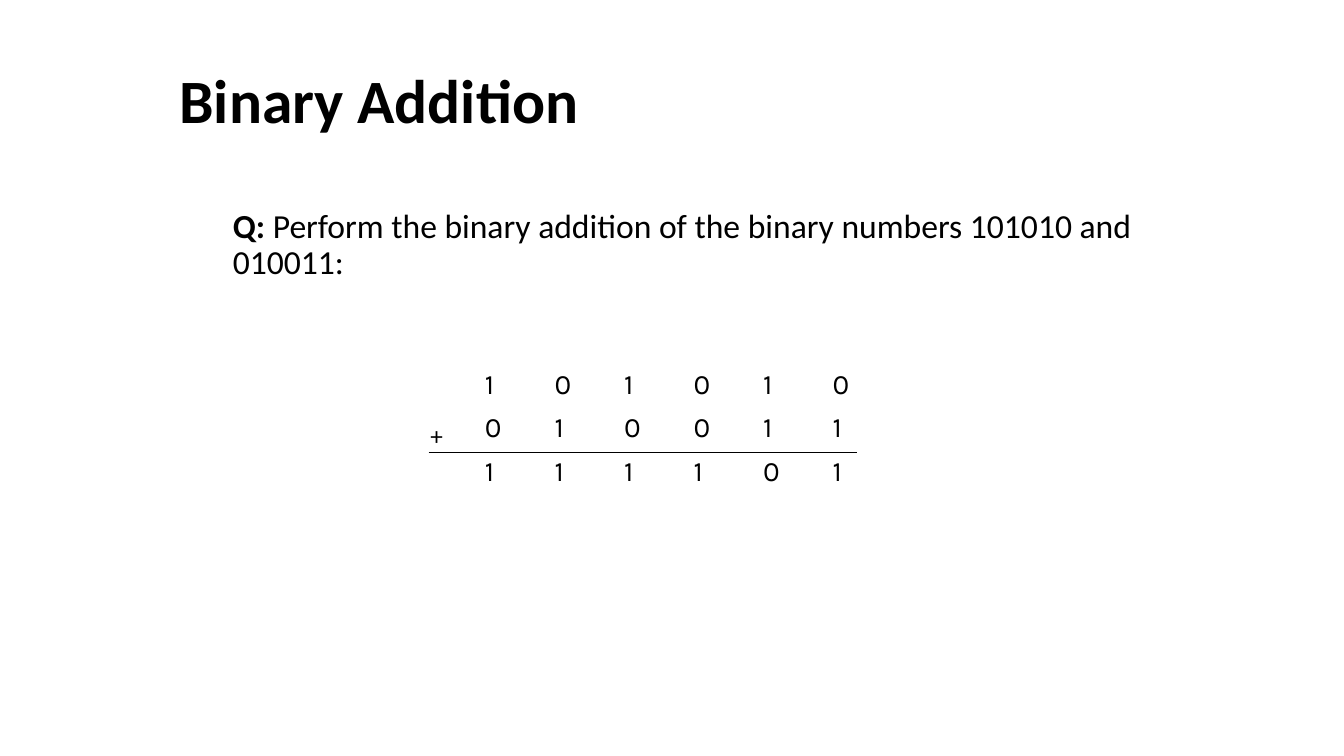
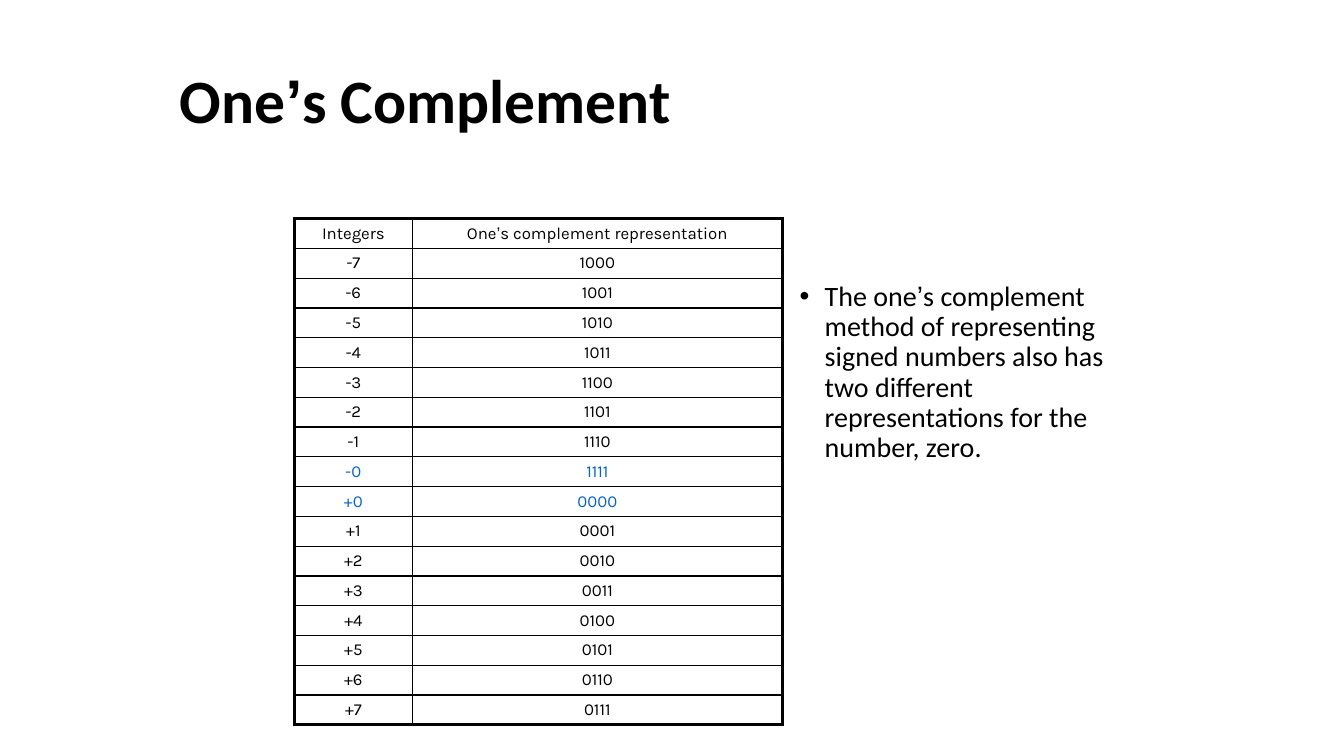
import pptx
import pptx.dml.color
import pptx.enum.shapes
import pptx.enum.text
import pptx.oxml
import pptx.oxml.ns
import pptx.util
from pptx.util import Inches

BLACK = pptx.dml.color.RGBColor(0x00, 0x00, 0x00)
BLUE = pptx.dml.color.RGBColor(0x05, 0x63, 0xC1)
LEFT = pptx.enum.text.PP_ALIGN.LEFT
CENTER = pptx.enum.text.PP_ALIGN.CENTER
NO_STYLE = "{2D5ABB26-0587-4C30-8999-92F81FD0307C}"
THIN, THICK = 1, 2.25

# Text formats shared by the slides
TITLE = {"name": "Calibri", "size": pptx.util.Pt(44), "bold": True}
QUESTION = {"name": "Calibri", "size": pptx.util.Pt(24), "bold": False}
BULLET = {"name": "Calibri", "size": pptx.util.Pt(20), "bold": False}
PLUS = {"name": "Calibri", "size": pptx.util.Pt(18)}
DIGIT = {"name": "Karla", "size": pptx.util.Pt(20)}
CELL = {"name": "Karla", "size": pptx.util.Pt(12)}


def apply_format(target, values):
    for name, value in values.items():
        setattr(target, name, value)


def add_text(p, text, fmt, color=BLACK):
    """Add runs to p; apostrophes are set in Arial."""
    for part in text.replace("’", "|’|").split("|"):
        r = p.add_run()
        r.text = part
        apply_format(r.font, fmt)
        r.font.color.rgb = color
        if part == "’":
            r.font.name = "Arial"


def add_element(parent, tag, **attributes):
    child = pptx.oxml.parse_xml(f"<a:{tag} {pptx.oxml.ns.nsdecls('a')}/>")
    for name, value in attributes.items():
        child.set(name, str(value))
    parent.append(child)
    return child


def place(shape, left, top, width, height):
    apply_format(shape, {"left": Inches(left), "top": Inches(top),
                         "width": Inches(width), "height": Inches(height)})


def fill_placeholder(ph, box, pieces, bullet=None):
    place(ph, *box)
    tf = ph.text_frame
    apply_format(tf, {"word_wrap": True,
                      "auto_size": pptx.enum.text.MSO_AUTO_SIZE.NONE})
    p = tf.paragraphs[0]
    pPr = p._p.get_or_add_pPr()
    indent = Inches(0.25) if bullet else 0
    pPr.set("marL", str(indent))
    pPr.set("indent", str(-indent))
    if bullet:
        add_element(pPr, "buFont", typeface="Arial")
        add_element(pPr, "buChar", char=bullet)
    else:
        add_element(pPr, "buNone")
    apply_format(p, {"alignment": LEFT, "line_spacing": 0.9,
                     "space_before": pptx.util.Pt(0)})
    for text, fmt in pieces:
        add_text(p, text, fmt)


def add_slide(prs, title):
    s = prs.slides.add_slide(prs.slide_layouts[1])
    fill_placeholder(s.shapes.title, (1.68, 0.23, 11.36, 1.6), [(title, TITLE)])
    s.shapes.title.text_frame.vertical_anchor = pptx.enum.text.MSO_ANCHOR.MIDDLE
    return s


def add_table(s, rows, left, top, col_widths, row_heights, fmt, align=LEFT,
              highlights=()):
    frame = s.shapes.add_table(len(rows), len(col_widths), Inches(left), Inches(top),
                               Inches(sum(col_widths)), Inches(sum(row_heights)))
    table = frame.table
    apply_format(table, {"first_row": False, "horz_banding": False})
    table._tbl.tblPr.find(pptx.oxml.ns.qn("a:tableStyleId")).text = NO_STYLE
    for column, width in zip(table.columns, col_widths):
        column.width = Inches(width)
    for row, height, values in zip(table.rows, row_heights, rows):
        row.height = Inches(height)
        color = BLUE if values[0] in highlights else BLACK
        for cell, value in zip(row.cells, values):
            p = cell.text_frame.paragraphs[0]
            p.alignment = align
            add_text(p, value, fmt, color)
            cell.fill.background()
    return table


def draw_grid(table):
    """Thin inner lines and a thick frame."""
    last_row, last_col = len(table.rows) - 1, len(table.columns) - 1
    for i, row in enumerate(table.rows):
        for j, cell in enumerate(row.cells):
            edges = {"lnL": j == 0, "lnR": j == last_col,
                     "lnT": i == 0, "lnB": i == last_row}
            tcPr = cell._tc.get_or_add_tcPr()
            for position, (tag, outer) in enumerate(edges.items()):
                width = pptx.util.Pt(THICK if outer else THIN)
                ln = add_element(tcPr, tag, w=int(width))
                fill = add_element(ln, "solidFill")
                add_element(fill, "srgbClr", val=BLACK)
                tcPr.insert(position, ln)


def add_line(s, x1, y1, x2, y2):
    line = s.shapes.add_connector(pptx.enum.shapes.MSO_CONNECTOR.STRAIGHT,
                                  Inches(x1), Inches(y1), Inches(x2), Inches(y2))
    line.line.color.rgb = BLACK
    line.line.width = pptx.util.Pt(0.75)
    add_element(line._element.spPr, "effectLst")


def add_label(s, text, box, fmt):
    tb = s.shapes.add_textbox(*map(Inches, box))
    tb.text_frame.word_wrap = True
    add_text(tb.text_frame.paragraphs[0], text, fmt)


def build_addition(prs):
    s = add_slide(prs, "Binary Addition")
    fill_placeholder(s.placeholders[1], (2.21, 2.03, 9.16, 4.5), [
        ("Q: ", {**QUESTION, "bold": True}),
        ("Perform the binary addition of the binary numbers 101010 and 010011:",
         QUESTION)])

    # Sum written out digit by digit
    first, second = "101010", "010011"
    total = f"{int(first, 2) + int(second, 2):06b}"
    add_table(s, [first, second, total], 4.71, 3.61, [0.69] * 6,
              [0.43, 0.43, 0.64], DIGIT)
    add_line(s, 4.25, 4.49, 8.5, 4.49)
    add_label(s, "+", (4.17, 4.12, 0.42, 0.4), PLUS)


def build_complement(prs):
    s = add_slide(prs, "One’s Complement")
    fill_placeholder(s.placeholders[1], (7.83, 2.75, 3.58, 4.5), [
        ("The one’s complement method of representing signed numbers also has "
         "two different representations for the number, zero.", BULLET)], "•")

    # Four-bit values: negatives are the inverted bits of the magnitude
    rows = [("Integers", "One’s complement representation")]
    rows += [(f"-{n}", f"{15 - n:04b}") for n in range(7, -1, -1)]
    rows += [(f"+{n}", f"{n:04b}") for n in range(8)]
    table = add_table(s, rows, 2.92, 2.17, [1.17, 3.67],
                      [5.02 / len(rows)] * len(rows), CELL, CENTER, ("-0", "+0"))
    draw_grid(table)


def main():
    prs = pptx.Presentation()
    prs.slide_width, prs.slide_height = Inches(13.33), Inches(7.5)
    build_addition(prs)
    build_complement(prs)
    prs.save("out.pptx")


if __name__ == "__main__":
    main()
